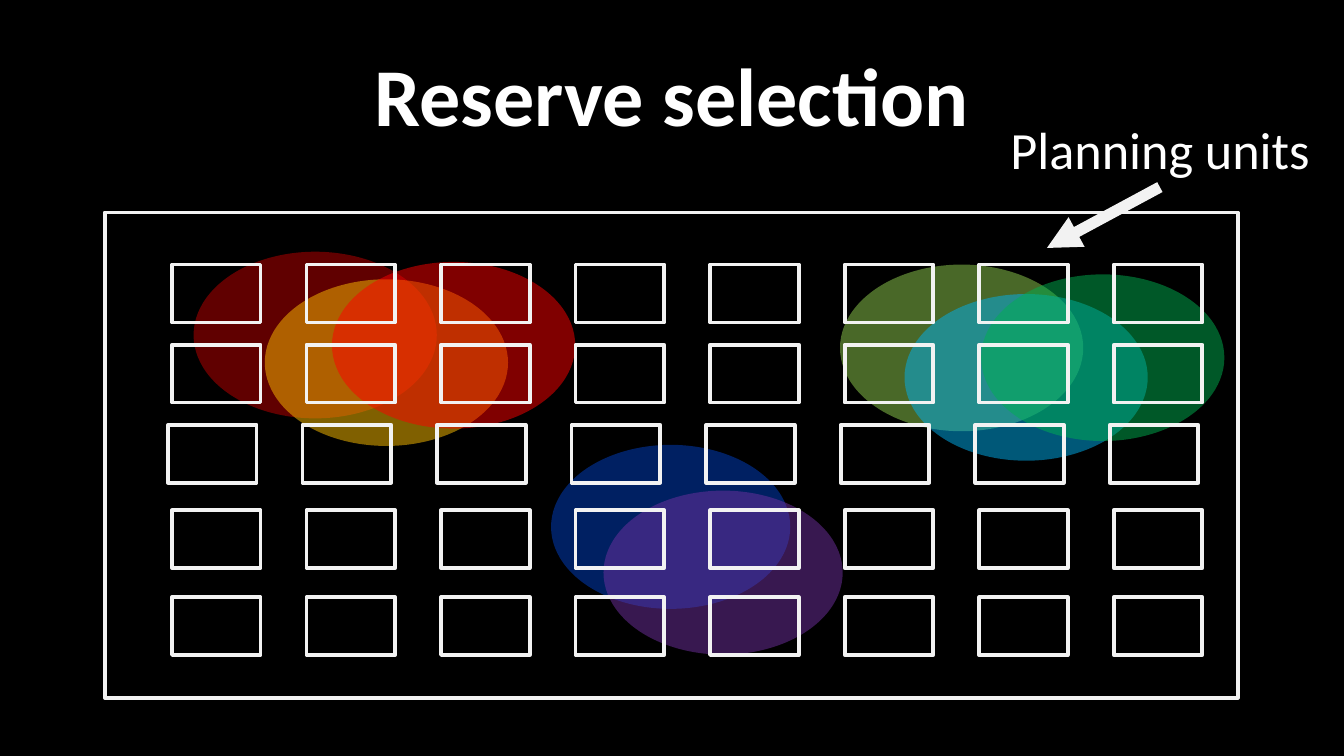
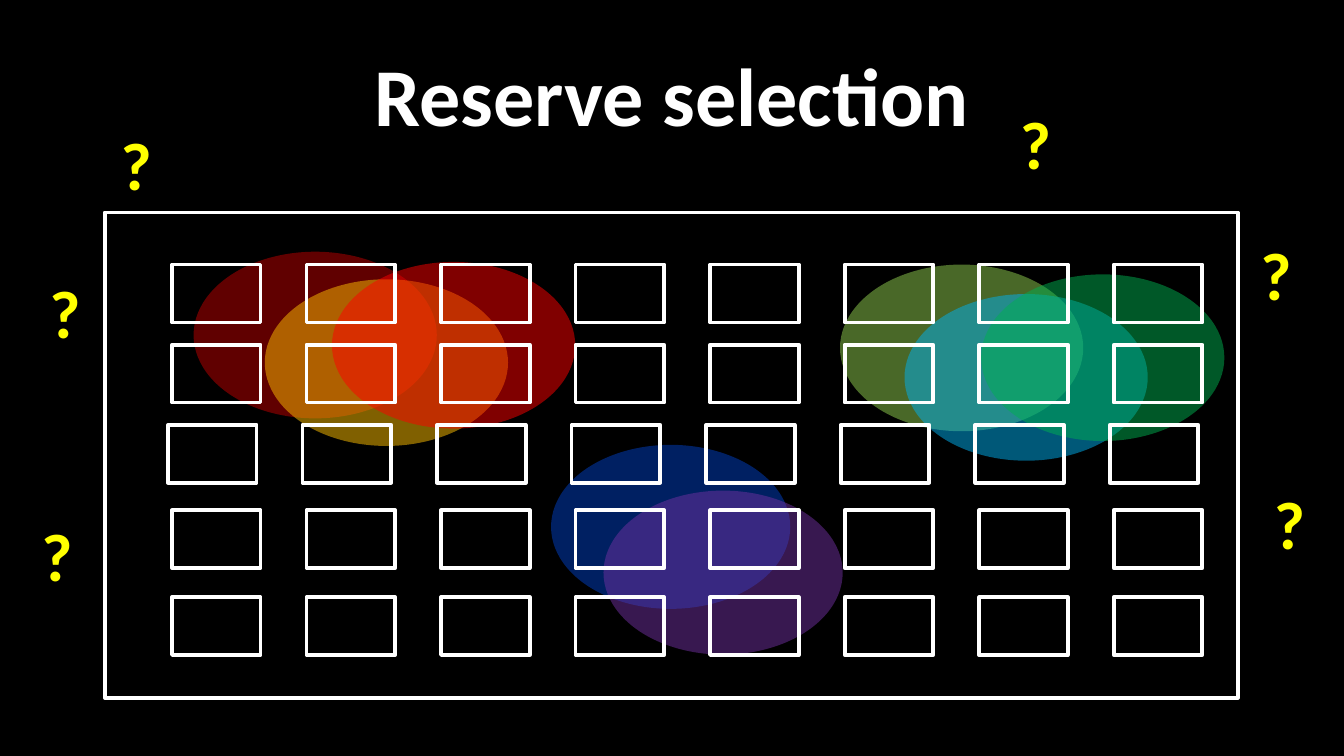
import lxml.etree
import pptx
import pptx.dml.color
import pptx.enum.shapes
import pptx.enum.text
import pptx.oxml.ns
import pptx.util

SHAPE = pptx.enum.shapes.MSO_SHAPE
FONT = "Calibri"
COLORS = {
    "background": "000000",
    "text": "FFFFFF",
    "soft_white": "F2F2F2",
    "question": "FFFF00",
    "blue": "0041C4",
    "purple": "7030A0",
    "dark_red": "C00000",
    "amber": "FFC000",
    "red": "FF0000",
    "light_green": "92D050",
    "sky": "00B0F0",
    "green": "00B050",
}

# Slide size; all places below are percentages of it
WIDTH = pptx.util.Inches(10)
HEIGHT = pptx.util.Inches(5.625)

# Species ranges: colour, left, top
SOUTH_SIZE = (17.8, 21.7)
NORTH_SIZE = (18.1, 22.05)
NORTH_RANGES = [
    ("dark_red", 14.4, 33.3),
    ("amber", 19.7, 36.95),
    ("red", 24.7, 34.65),
    ("light_green", 62.5, 35),
    ("sky", 67.3, 38.9),
    ("green", 73, 36.3),
]

# Planning units: left and top of each row
FRAME = (7.8, 28.1, 84.3, 64.2)
UNIT_ROWS = [(12.8, 35), (12.8, 45.6), (12.5, 56.2), (12.8, 67.5), (12.8, 79)]
UNIT_COLUMNS = 8
UNIT_PITCH = 10.01
UNIT_SIZE = (6.6, 7.65)

QUESTIONS = [(8, 15.5), (2.7, 35), (2.1, 67.2),
             (74.9, 12.6), (92.8, 30), (93.8, 62.9)]


def rgb(name):
    return pptx.dml.color.RGBColor.from_string(COLORS[name])


def place(x, y, w, h):
    return (int(WIDTH * x / 100), int(HEIGHT * y / 100),
            int(WIDTH * w / 100), int(HEIGHT * h / 100))


def sub(parent, tag, **attrs):
    return lxml.etree.SubElement(parent, pptx.oxml.ns.qn(tag), **attrs)


def style_text(p, size, color, bold=False):
    p.font.name = FONT
    p.font.size = pptx.util.Pt(size)
    p.font.bold = bold
    p.font.color.rgb = rgb(color)


def add_title(s, text):
    sp = s.shapes.title
    sp.left, sp.top, sp.width, sp.height = place(5, 4.1, 90, 16.7)
    tf = sp.text_frame
    tf.text = text
    tf.vertical_anchor = pptx.enum.text.MSO_ANCHOR.MIDDLE
    p = tf.paragraphs[0]
    p.alignment = pptx.enum.text.PP_ALIGN.CENTER
    style_text(p, 44, "text", bold=True)


def add_label(s, text, box, size, color, bold=False):
    tf = s.shapes.add_textbox(*place(*box)).text_frame
    tf.word_wrap = False
    tf.text = text
    style_text(tf.paragraphs[0], size, color, bold)


def add_range(s, color, x, y, size):
    """Half-transparent ellipse for the range of one species."""
    sp = s.shapes.add_shape(SHAPE.OVAL, *place(x, y, *size))
    sp.shadow.inherit = False
    sp.fill.solid()
    sp.fill.fore_color.rgb = rgb(color)
    sp.line.fill.background()
    fill = sp.fill._xPr.find(pptx.oxml.ns.qn("a:solidFill"))
    sub(fill[0], "a:alpha", val="50000")


def add_outline(s, box, color):
    sp = s.shapes.add_shape(SHAPE.RECTANGLE, *place(*box))
    sp.shadow.inherit = False
    sp.fill.background()
    sp.line.color.rgb = rgb(color)
    sp.line.width = pptx.util.Pt(2)
    sub(sp.line._get_or_add_ln(), "a:round")


def add_arrow(s, start, end, color):
    points = place(*start, *end)
    cxn = s.shapes.add_connector(
        pptx.enum.shapes.MSO_CONNECTOR.STRAIGHT, *points)
    cxn.line.color.rgb = rgb(color)
    cxn.line.width = pptx.util.Pt(6)
    sub(cxn.line._get_or_add_ln(), "a:tailEnd", type="triangle")
    sub(cxn._element.spPr, "a:effectLst")


def add_reserve_slide(prs, line_color):
    """Title, species ranges and the grid of planning units."""
    s = prs.slides.add_slide(prs.slide_layouts[5])
    add_title(s, "Reserve selection")
    add_range(s, "blue", 41, 58.85, SOUTH_SIZE)
    add_outline(s, FRAME, line_color)
    add_range(s, "purple", 44.9, 64.9, SOUTH_SIZE)
    for color, x, y in NORTH_RANGES:
        add_range(s, color, x, y, NORTH_SIZE)
    for left, top in UNIT_ROWS:
        for column in range(UNIT_COLUMNS):
            x = left + column * UNIT_PITCH
            add_outline(s, (x, top, *UNIT_SIZE), line_color)
    return s


def main():
    prs = pptx.Presentation()
    prs.slide_width, prs.slide_height = WIDTH, HEIGHT
    fill = prs.slide_master.background.fill
    fill.solid()
    fill.fore_color.rgb = rgb("background")

    # Slide 1: what the planning units are
    s = add_reserve_slide(prs, "soft_white")
    add_label(s, "Planning units", (74.2, 14.6, 25, 10.1), 28, "text")
    add_arrow(s, (86.3, 24.75), (77.9, 32.8), "soft_white")

    # Slide 2: which units to choose
    s = add_reserve_slide(prs, "text")
    for x, y in QUESTIONS:
        add_label(s, "?", (x, y, 4.3, 12.5), 36, "question", bold=True)

    prs.save("out.pptx")


if __name__ == "__main__":
    main()
